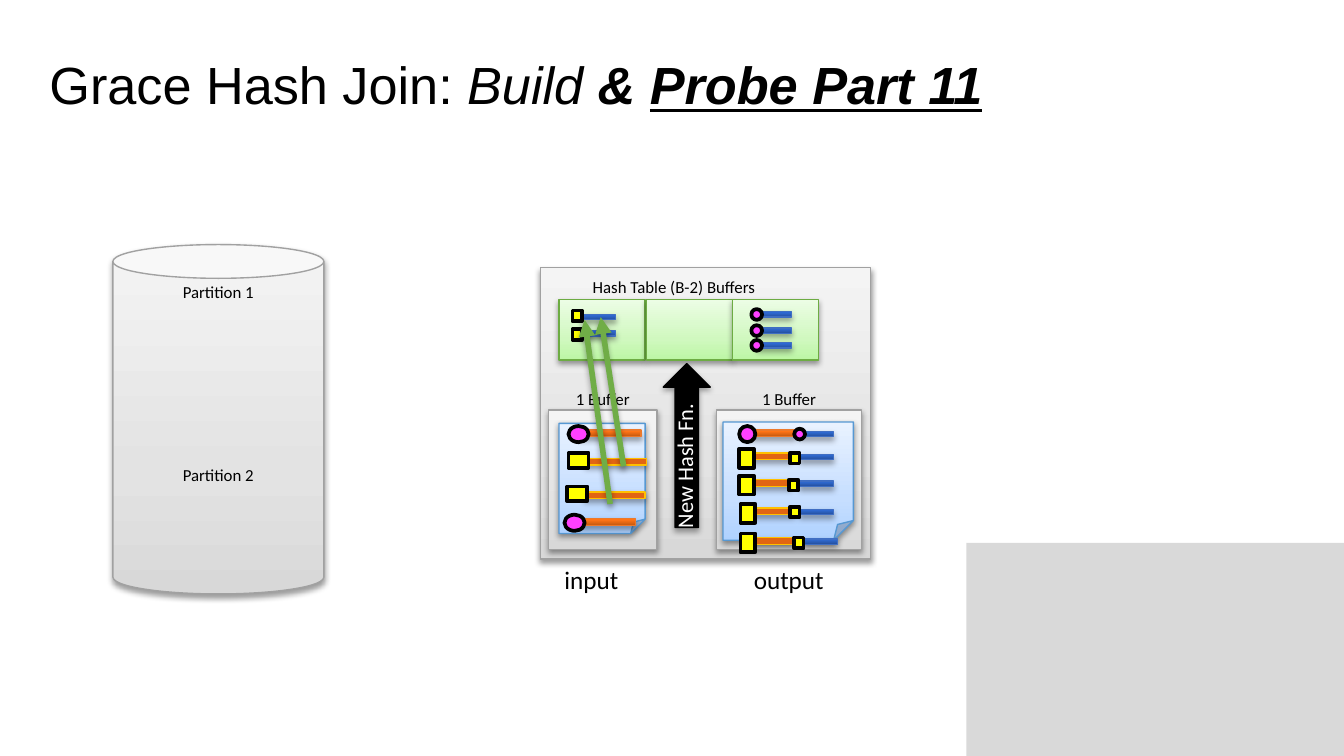
import dataclasses

import lxml.etree
import pptx
import pptx.dml.color
import pptx.enum.shapes
import pptx.enum.text
import pptx.oxml.ns
import pptx.util

SHAPE = pptx.enum.shapes.MSO_SHAPE
ALIGN = pptx.enum.text.PP_ALIGN
qn = pptx.oxml.ns.qn
EMU_PER_PX = 9144


def px(length):
    return pptx.util.Emu(length * EMU_PER_PX)


def rgb(value):
    return pptx.dml.color.RGBColor.from_string(value)


@dataclasses.dataclass(frozen=True)
class Look:
    fill: object
    line: str = None
    weight: float = 0.75
    shadow: tuple = None


SOFT_SHADOW = (38, 1.6)
DEEP_SHADOW = (35, 1.8)


@dataclasses.dataclass(frozen=True)
class Theme:
    title_font: str = "Arial"
    body_font: str = "Calibri"
    title_size: float = 28
    flow_size: float = 13.5
    arrow_size: float = 12
    label_size: float = 9
    black: str = "000000"
    white: str = "FFFFFF"
    link: str = "70AD47"
    link_weight: float = 3
    corner: Look = Look("D9D9D9")
    panel: Look = Look(((0, "D8D8D8"), (35, "E3E3E3"), (100, "F4F4F4")), "A1A1A1", shadow=SOFT_SHADOW)
    bucket: Look = Look(((0, "BCF6A4"), (35, "D0F8BF"), (100, "ECFDE5")), "6DAC43", shadow=SOFT_SHADOW)
    page: Look = Look(((0, "AFD2FF"), (35, "C6DEFF"), (100, "E9F2FF")), "5698D3", shadow=SOFT_SHADOW)
    blue: Look = Look(((0, "24509E"), (80, "2F69D0"), (100, "2C69D4")), "3F6EC3", shadow=DEEP_SHADOW)
    orange: Look = Look(((0, "C3580F"), (80, "FF7416"), (100, "FF7517")), "EC792B", shadow=DEEP_SHADOW)
    matched: Look = Look("E16513", "FFC000", shadow=DEEP_SHADOW)
    arrow: Look = Look("000000", "000000", shadow=DEEP_SHADOW)
    pink_key: Look = Look("FF40FF", "000000", 2)
    yellow_key: Look = Look("FFFF00", "000000", 2)


class Canvas:
    def __init__(self, slide, theme):
        self.slide = slide
        self.theme = theme

    def shadow(self, effects, shadow):
        opacity, distance = shadow
        outer = lxml.etree.SubElement(
            effects, qn("a:outerShdw"), blurRad=str(pptx.util.Pt(3)),
            dist=str(pptx.util.Pt(distance)), dir="5400000", rotWithShape="0")
        color = lxml.etree.SubElement(outer, qn("a:srgbClr"), val=self.theme.black)
        lxml.etree.SubElement(color, qn("a:alpha"), val=str(opacity * 1000))

    def gradient(self, fill, stops, shape):
        fill.gradient()
        fill.gradient_angle = 90
        stop_list = shape._element.spPr.find(qn("a:gradFill")).find(qn("a:gsLst"))
        for stop in list(stop_list):
            stop_list.remove(stop)
        for position, color in stops:
            stop = lxml.etree.SubElement(stop_list, qn("a:gs"), pos=str(position * 1000))
            lxml.etree.SubElement(stop, qn("a:srgbClr"), val=color)

    def shape(self, kind, left, top, width, height, look, rotation=0, adjustment=None):
        shape = self.slide.shapes.add_shape(kind, px(left), px(top), px(width), px(height))
        shape.rotation = rotation
        if adjustment is not None:
            shape.adjustments[0] = adjustment
        if isinstance(look.fill, str):
            shape.fill.solid()
            shape.fill.fore_color.rgb = rgb(look.fill)
        else:
            self.gradient(shape.fill, look.fill, shape)
        if look.line:
            shape.line.color.rgb = rgb(look.line)
            shape.line.width = pptx.util.Pt(look.weight)
        else:
            shape.line.fill.background()
        shape.shadow.inherit = False
        if look.shadow:
            self.shadow(shape._element.spPr.find(qn("a:effectLst")), look.shadow)

    def box(self, left, top, width, height, look):
        self.shape(SHAPE.RECTANGLE, left, top, width, height, look)

    def circle(self, left, top, width, height, look):
        self.shape(SHAPE.OVAL, left, top, width, height, look)

    def blue_bar(self, left, top):
        self.box(left, top, 25, 4, self.theme.blue)

    def text_frame(self, left, top, width, height, side, edge, wrap=True, rotation=0):
        box = self.slide.shapes.add_textbox(px(left), px(top), px(width), px(height))
        box.rotation = rotation
        frame = box.text_frame
        frame.word_wrap = wrap
        frame.margin_left = frame.margin_right = px(side)
        frame.margin_top = frame.margin_bottom = px(edge)
        return frame

    def label(self, text, left, top, width, height, size, edge=5, wrap=True,
              align=ALIGN.LEFT, color=None, rotation=0):
        frame = self.text_frame(left, top, width, height, 4, edge, wrap, rotation)
        frame.auto_size = pptx.enum.text.MSO_AUTO_SIZE.SHAPE_TO_FIT_TEXT
        paragraph = frame.paragraphs[0]
        paragraph.text = text
        paragraph.alignment = align
        self.font(paragraph, self.theme.body_font, size, color or self.theme.black)

    def font(self, paragraph, name, size, color):
        paragraph.font.name = name
        paragraph.font.size = pptx.util.Pt(size)
        paragraph.font.color.rgb = rgb(color)

    def title(self, pieces, left, top, width, height):
        paragraph = self.text_frame(left, top, width, height, 10, 5).paragraphs[0]
        self.font(paragraph, self.theme.title_font, self.theme.title_size, self.theme.black)
        for text, styles in pieces:
            run = paragraph.add_run()
            run.text = text
            run.font.italic = "i" in styles
            run.font.bold = "b" in styles
            run.font.underline = "u" in styles

    def link(self, start, end):
        connector = self.slide.shapes.add_connector(
            pptx.enum.shapes.MSO_CONNECTOR.STRAIGHT, *map(px, start + end))
        connector.line.color.rgb = rgb(self.theme.link)
        connector.line.width = pptx.util.Pt(self.theme.link_weight)
        properties = connector._element.spPr
        lxml.etree.SubElement(properties.find(qn("a:ln")), qn("a:tailEnd"), type="triangle")
        effects = lxml.etree.SubElement(properties, qn("a:effectLst"))
        self.shadow(effects, DEEP_SHADOW)


def main():
    presentation = pptx.Presentation()
    presentation.slide_width = px(1000)
    presentation.slide_height = presentation.slide_width * 9 // 16
    theme = Theme()
    canvas = Canvas(presentation.slides.add_slide(presentation.slide_layouts[6]), theme)

    canvas.box(719, 404, 281, 159, theme.corner)
    canvas.title([("Grace Hash Join: ", ""), ("Build ", "i"), ("& ", "ib"),
                  ("Probe Part 11", "ibu")], 27, 34, 823, 125)

    canvas.box(402, 199, 246, 217, theme.panel)
    for left in (416, 481, 545):
        canvas.box(left, 223, 64, 45, theme.bucket)
    canvas.label("Hash Table (B-2) Buffers", 437, 201, 131, 25, theme.label_size, wrap=False)
    for left, width in ((408, 81), (533, 108)):
        canvas.box(left, 305, width, 104, theme.panel)
        canvas.label("1 Buffer", left, 285, width, 23, theme.label_size, 4, align=ALIGN.CENTER)

    for top in (232, 244, 255):
        canvas.blue_bar(564, top)
        canvas.circle(559, top - 2, 8, 8, theme.pink_key)
    for text, left, width in (("input", 416, 48), ("output", 557, 60)):
        canvas.label(text, left, 415, width, 33, theme.flow_size, wrap=False)

    canvas.shape(SHAPE.CAN, 84, 182, 157, 260, theme.panel, adjustment=0.16)
    for bar_top, key_top in ((246, 245), (234, 231)):
        canvas.blue_bar(433, bar_top)
        canvas.box(426, key_top, 7, 8, theme.yellow_key)

    canvas.shape(SHAPE.FOLDED_CORNER, 538, 314, 97, 88, theme.page)
    canvas.box(556, 320, 36, 5, theme.orange)
    canvas.circle(550, 317, 12, 12, theme.pink_key)
    canvas.blue_bar(595, 321)
    canvas.circle(591, 319, 8, 8, theme.pink_key)
    output_rows = ((337, 558, 550, 595, 588, 337), (357, 558, 550, 595, 587, 357),
                   (378, 560, 551, 595, 588, 377), (400, 559, 551, 598, 591, 400))
    for top, bar, key, blue, small_key, small_top in output_rows:
        canvas.box(bar, top, 31, 5, theme.matched)
        canvas.box(key, top - 3, 11, 14, theme.yellow_key)
        canvas.blue_bar(blue, top + 1)
        canvas.box(small_key, small_top, 7, 8, theme.yellow_key)

    canvas.shape(SHAPE.RIGHT_ARROW, 450, 314, 122, 35, theme.arrow, rotation=270)
    canvas.label("New Hash Fn.", 446, 320, 126, 28, theme.arrow_size, 4,
                 color=theme.white, rotation=270)

    canvas.shape(SHAPE.FOLDED_CORNER, 416, 315, 64, 82, theme.page)
    for bar, key, top in ((432, 423, 320), (428, 420, 386)):
        canvas.box(bar, top, 45, 5, theme.orange)
        canvas.circle(key, top - 3, 15, 12, theme.pink_key)
    for bar, key, top in ((436, 423, 341), (435, 422, 366)):
        canvas.box(bar, top, 45, 5, theme.matched)
        canvas.box(key, top - 4, 15, 11, theme.yellow_key)

    canvas.link((464, 347), (447, 236))
    canvas.link((454, 375), (435, 238))
    for number, top in ((1, 205), (2, 341)):
        canvas.label(f"Partition {number}", 132, top, 70, 25, theme.label_size)

    presentation.save("out.pptx")


if __name__ == "__main__":
    main()
